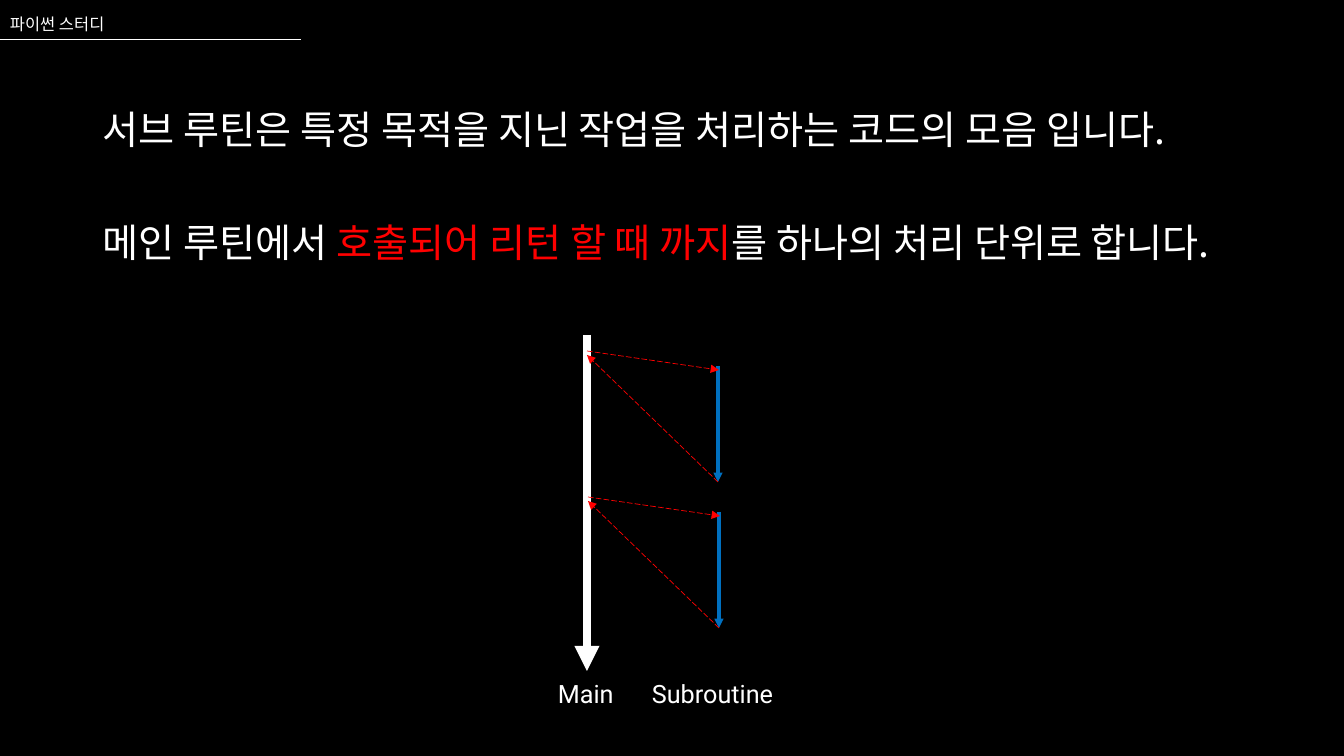
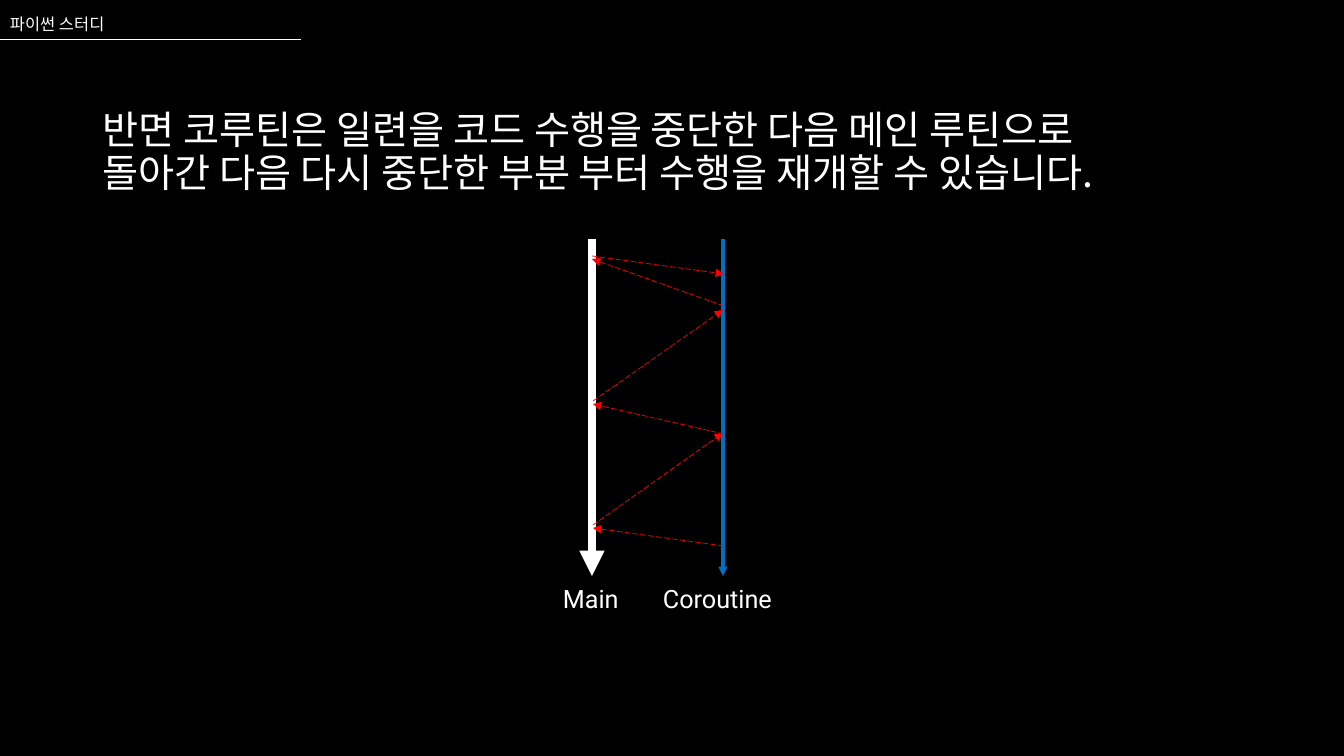
from dataclasses import dataclass
from typing import Any

from lxml.etree import SubElement
from pptx import Presentation
from pptx.dml.color import RGBColor
from pptx.enum.dml import MSO_LINE
from pptx.enum.shapes import MSO_CONNECTOR
from pptx.enum.text import MSO_ANCHOR
from pptx.oxml.ns import qn
from pptx.slide import Slide
from pptx.util import Emu, Pt

PX = 914400 / 100.8
COLORS = {"black": "000000", "white": "FFFFFF", "red": "FF0000", "blue": "0070C0"}
KOREAN, LATIN = "Noto Sans CJK KR", "Roboto"


@dataclass(frozen=True)
class LineStyle:
    color: str
    width: float
    dash: Any = None
    arrow: bool = True


@dataclass(frozen=True)
class Line:
    start: tuple[int, int]
    end: tuple[int, int]
    style: LineStyle


@dataclass(frozen=True)
class Run:
    text: str
    color: str = "white"


@dataclass(frozen=True)
class Para:
    runs: tuple[Run, ...]
    format: dict[str, Any]


@dataclass(frozen=True)
class Text:
    box: tuple[int, int, int, int]
    paras: tuple[Para, ...]
    size: float
    font: str
    anchor: Any = MSO_ANCHOR.TOP


@dataclass(frozen=True)
class Page:
    body: tuple[Para, ...]
    lines: tuple[Line, ...]
    labels: tuple[Text, ...]


RULE = LineStyle("white", 0.5, arrow=False)
MAIN = LineStyle("white", 6)
ROUTINE = LineStyle("blue", 2.25)
JUMP = LineStyle("red", 0.5, MSO_LINE.LONG_DASH)


def px(n: int) -> Emu:
    return Emu(round(n * PX))


def rgb(name: str) -> RGBColor:
    return RGBColor.from_string(COLORS[name])


def set_all(obj: Any, values: dict[str, Any]) -> None:
    for name, value in values.items():
        setattr(obj, name, value)


def draw_line(slide: Slide, line: Line) -> None:
    sp = slide.shapes.add_connector(
        MSO_CONNECTOR.STRAIGHT, *map(px, line.start + line.end))
    style = line.style
    sp.line.color.rgb = rgb(style.color)
    sp.line.width = Pt(style.width)
    if style.dash is not None:
        sp.line.dash_style = style.dash
    if style.arrow:
        SubElement(sp.line._get_or_add_ln(), qn("a:tailEnd"), type="triangle")
    SubElement(sp._element.spPr, qn("a:effectLst"))


def draw_text(slide: Slide, text: Text) -> None:
    tf = slide.shapes.add_textbox(*map(px, text.box)).text_frame
    set_all(tf, {"word_wrap": True, "vertical_anchor": text.anchor})
    for i, para in enumerate(text.paras):
        p = tf.add_paragraph() if i else tf.paragraphs[0]
        set_all(p, para.format)
        for run in para.runs:
            for j, part in enumerate(run.text.split("\n")):
                if j:
                    p.add_line_break()
                r = p.add_run()
                r.text = part
                set_all(r.font, {"size": Pt(text.size), "name": text.font})
                r.font.color.rgb = rgb(run.color)
                SubElement(r.font._element, qn("a:ea"), typeface=text.font)


def body_para(*runs: Run, before: int = 10) -> Para:
    return Para(runs, {"line_spacing": 0.9, "space_before": Pt(before)})


def label(text: str, left: int, top: int, width: int) -> Text:
    return Text((left, top, width, 40), (Para((Run(text),), {}),), 18, LATIN)


def subroutine_call(dx: int, dy: int) -> tuple[Line, ...]:
    main, sub = 587 + dx, 718 + dx
    return (
        Line((sub, 366 + dy), (sub, 482 + dy), ROUTINE),
        Line((main, 351 + dy), (sub + 1, 370 + dy), JUMP),
        Line((sub, 482 + dy), (main, 355 + dy), JUMP),
    )


# Shared header
HEADER = Text((0, 11, 266, 28),
              (Para((Run("파이썬 스터디"),), {"line_spacing": 0.9}),),
              11.7, KOREAN, MSO_ANCHOR.BOTTOM)
HEADER_RULE = Line((0, 39), (301, 39), RULE)

# Page contents
SUBROUTINE = Page(
    (body_para(Run("서브 루틴은 특정 목적을 지닌 작업을 처리하는 코드의 모음 입니다.")),
     body_para(Run("메인 루틴에서 "),
               Run("호출되어 리턴 할 때 까지", "red"),
               Run("를 하나의 처리 단위로 합니다."), before=50)),
    (Line((587, 335), (587, 671), MAIN),
     *subroutine_call(0, 0), *subroutine_call(1, 146)),
    (label("Main", 548, 673, 80), label("Subroutine", 642, 673, 153)),
)

COROUTINE_JUMPS = (
    ((592, 256), (724, 274)), ((724, 306), (592, 259)),
    ((593, 401), (723, 310)), ((724, 434), (593, 404)),
    ((593, 525), (723, 433)), ((724, 546), (593, 528)),
)
COROUTINE = Page(
    (body_para(Run("반면 코루틴은 일련을 코드 수행을 중단한 다음 메인 루틴으로\n"
                   "돌아간 다음 다시 중단한 부분 부터 수행을 재개할 수 있습니다.")),),
    (Line((592, 239), (592, 576), MAIN),
     Line((723, 239), (723, 576), ROUTINE),
     *(Line(start, end, JUMP) for start, end in COROUTINE_JUMPS)),
    (label("Main", 553, 578, 80), label("Coroutine", 653, 578, 138)),
)

# Build the slides
prs = Presentation()
set_all(prs, {"slide_width": px(1344), "slide_height": px(756)})
for page in (SUBROUTINE, COROUTINE):
    slide = prs.slides.add_slide(prs.slide_layouts[6])
    slide.background.fill.solid()
    slide.background.fill.fore_color.rgb = rgb("black")
    body = Text((93, 106, 1159, 575), page.body, 28, KOREAN)
    for text in (body, HEADER, *page.labels):
        draw_text(slide, text)
    for line in (HEADER_RULE, *page.lines):
        draw_line(slide, line)
prs.save("out.pptx")
